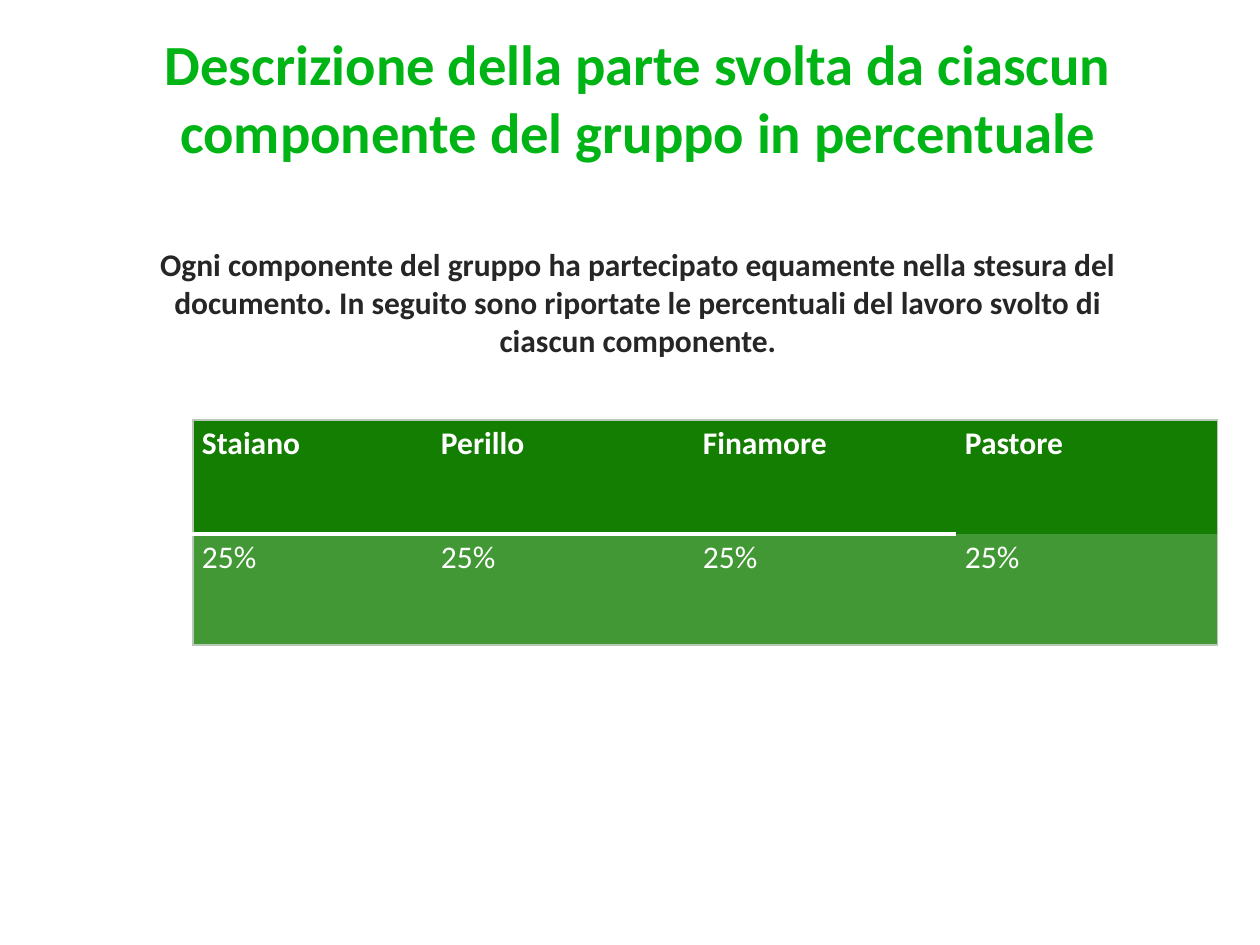
from pptx import Presentation
from pptx import util as u
from pptx.dml.color import RGBColor
from pptx.enum import text
from pptx.oxml.ns import qn
from lxml import etree

PX = 914400 // 126
TITLE_GREEN = RGBColor(0x00, 0xB4, 0x15)
DARK = RGBColor(0x26, 0x26, 0x26)
WHITE = RGBColor(0xFF, 0xFF, 0xFF)
EDGE = RGBColor(0xB8, 0xC7, 0xB8)
ROW_FILLS = [RGBColor(0x13, 0x7E, 0x01), RGBColor(0x42, 0x98, 0x34)]


def set_font(para, **values):
    for name, value in values.items():
        if name == "color":
            para.font.color.rgb = value
        else:
            setattr(para.font, name, value)


def set_border(cell, side, line):
    """Draw one side (L, R, T or B) as (colour, points), or hide it if line is None."""
    width = u.Pt(line[1]) if line else 0
    border = etree.SubElement(cell._tc.get_or_add_tcPr(), qn(f"a:ln{side}"), w=str(int(width)))
    if line:
        fill = etree.SubElement(border, qn("a:solidFill"))
        etree.SubElement(fill, qn("a:srgbClr"), val=str(line[0]))
    else:
        etree.SubElement(border, qn("a:noFill"))


deck = Presentation()
deck.slide_width, deck.slide_height = 1260 * PX, 945 * PX
page = deck.slides.add_slide(deck.slide_layouts[5])

# Title with its explanation
title = page.shapes.title
title.left, title.top, title.width, title.height = 126 * PX, 75 * PX, 1024 * PX, 237 * PX
frame = title.text_frame
frame.word_wrap = True
frame.auto_size = text.MSO_AUTO_SIZE.NONE
frame.vertical_anchor = text.MSO_ANCHOR.MIDDLE
heading = frame.paragraphs[0]
heading.text = "Descrizione della parte svolta da ciascun componente del gruppo in percentuale"
set_font(heading, name="Calibri", size=u.Pt(32.4), bold=True, color=TITLE_GREEN)
intro = frame.add_paragraph()
intro.text = (
    "Ogni componente del gruppo ha partecipato equamente nella stesura del documento. "
    "In seguito sono riportate le percentuali del lavoro svolto di ciascun componente."
)
intro.space_before = u.Pt(46)
set_font(intro, name="Calibri", size=u.Pt(18), bold=True, color=DARK)
for para in frame.paragraphs:
    para.alignment = text.PP_ALIGN.CENTER

# Share of the work per member
shares = {"Staiano": "25%", "Perillo": "25%", "Finamore": "25%", "Pastore": "25%"}
column_widths = [239, 262, 262, 262]
row_heights = [114, 111]
last = len(shares) - 1
table = page.shapes.add_table(
    2, len(shares), 193 * PX, 420 * PX, sum(column_widths) * PX, sum(row_heights) * PX
).table
for column, width in zip(table.columns, column_widths):
    column.width = width * PX
for row, height in zip(table.rows, row_heights):
    row.height = height * PX

edge, divider = (EDGE, 0.75), (WHITE, 3)
for r, values in enumerate([shares.keys(), shares.values()]):
    for c, value in enumerate(values):
        cell = table.cell(r, c)
        middle = divider if c < last else None
        borders = {
            "L": edge if c == 0 else None,
            "R": edge if c == last else None,
            "T": edge if r == 0 else middle,
            "B": middle if r == 0 else edge,
        }
        for side, line in borders.items():
            set_border(cell, side, line)
        cell.fill.solid()
        cell.fill.fore_color.rgb = ROW_FILLS[r]
        cell.margin_left = cell.margin_right = 9 * PX
        cell.margin_top = cell.margin_bottom = 5 * PX
        cell.text = value
        set_font(cell.text_frame.paragraphs[0], name="Calibri", size=u.Pt(18),
                 bold=r == 0, color=WHITE)

deck.save("out.pptx")
